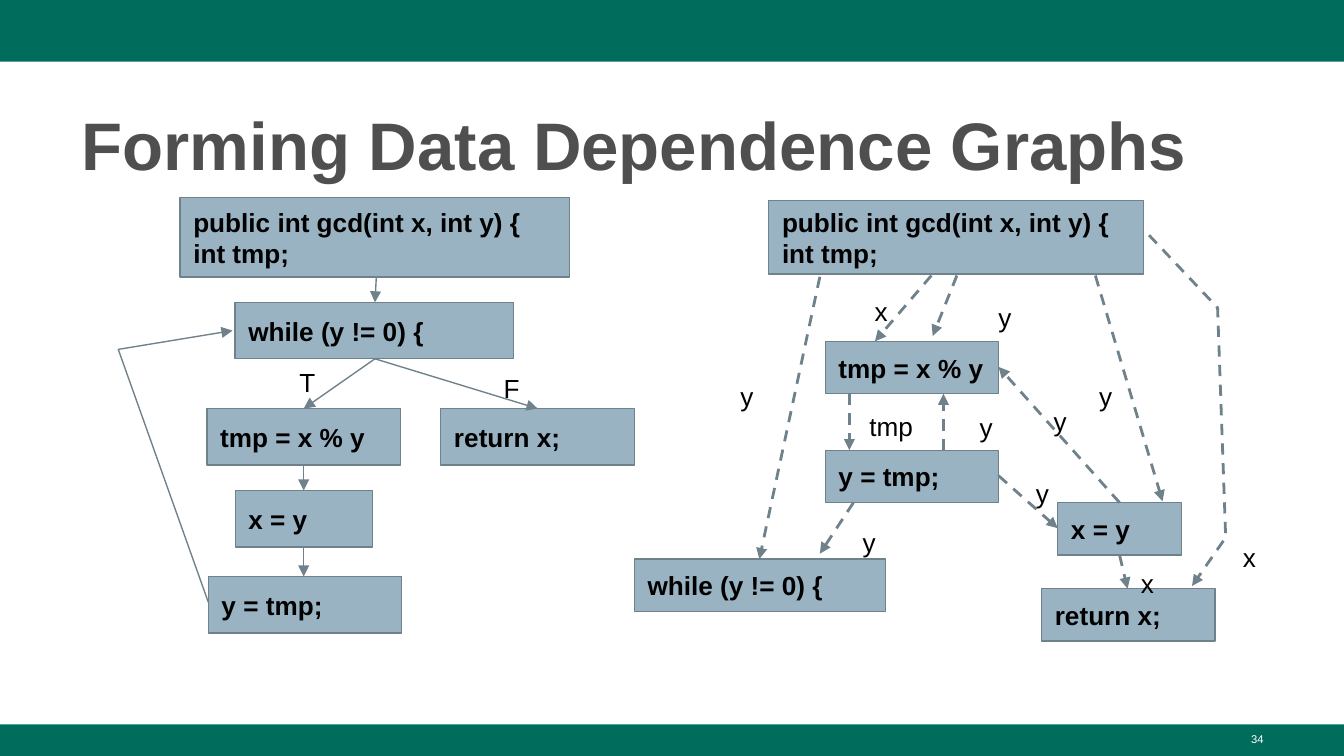
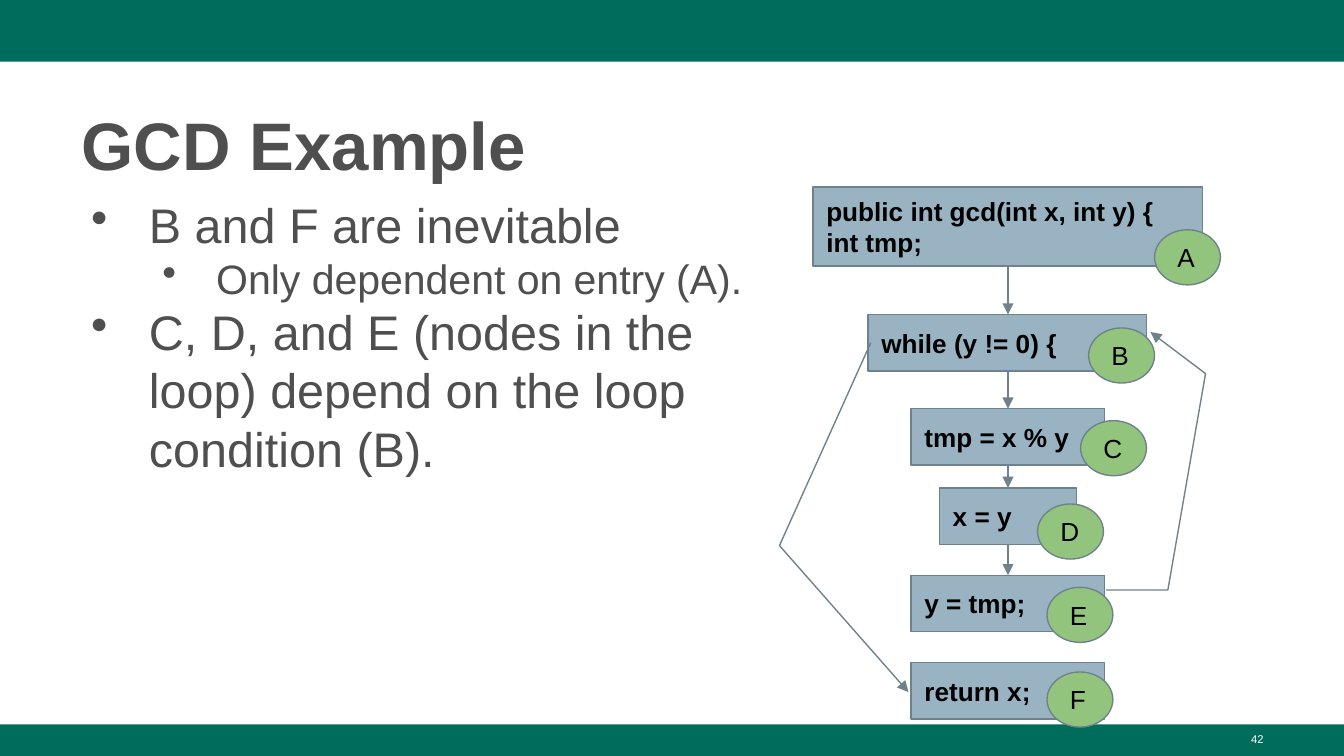
import dataclasses

import lxml.etree
import pptx
import pptx.dml.color
import pptx.enum.dml
import pptx.enum.shapes
import pptx.enum.text
import pptx.oxml.ns
import pptx.util

PX = 9144  # 100 px to the inch
RECT = pptx.enum.shapes.MSO_SHAPE.RECTANGLE
OVAL = pptx.enum.shapes.MSO_SHAPE.OVAL
RIGHT = pptx.enum.text.PP_ALIGN.RIGHT
qn = pptx.oxml.ns.qn
rgb = pptx.dml.color.RGBColor.from_string


@dataclasses.dataclass(frozen=True)
class Theme:
    font: str = "Arial"
    band: str = "006C5C"
    ink: str = "4F4F4F"
    black: str = "000000"
    white: str = "FFFFFF"
    node: str = "99B3C2"
    chip: str = "93C47D"
    edge: str = "6F828C"
    head: int = 36
    label: int = 14
    tiny: int = 6
    # per level: type size, left indent and hang in px
    levels: tuple = ((26, 50, 43), (22, 100, 40))


theme = Theme()


def write(slide, box, text, size=theme.label, color=theme.black, bold=False,
          fill=None, form=RECT, pad=10, align=None, space=None, levels=None):
    """Add text in a plain box, or in a filled and outlined shape."""
    place = [n * PX for n in box]
    if fill:
        shape = slide.shapes.add_shape(form, *place)
        shape.shadow.inherit = False
        shape.fill.solid()
        shape.fill.fore_color.rgb = rgb(fill)
        shape.line.color.rgb = rgb(theme.edge)
        shape.line.width = pptx.util.Pt(0.75)
    else:
        shape = slide.shapes.add_textbox(*place)
    frame = shape.text_frame
    frame.word_wrap = True
    anchor = pptx.enum.text.MSO_ANCHOR
    frame.vertical_anchor = anchor.MIDDLE if fill else anchor.TOP
    frame.margin_left = frame.margin_right = 10 * PX
    frame.margin_top = frame.margin_bottom = pad * PX
    for i, line in enumerate(text.split("\n")):
        para = frame.paragraphs[0] if i == 0 else frame.add_paragraph()
        para.alignment = align or pptx.enum.text.PP_ALIGN.LEFT
        if space:
            para.line_spacing = space
        if levels:
            para.level = levels[i]
            size, left, hang = theme.levels[levels[i]]
            props = para._p.get_or_add_pPr()
            props.set("marL", str(left * PX))
            props.set("indent", str(-hang * PX))
            lxml.etree.SubElement(props, qn("a:buChar"), char="•")
        run = para.add_run()
        run.text = line
        run.font.name = theme.font
        run.font.size = pptx.util.Pt(size)
        run.font.bold = bold
        run.font.color.rgb = rgb(color)


def arrow(slide, *points, dash=False):
    """Draw an arrow: a connector for two points, an open outline for more."""
    if len(points) == 2:
        ends = [n * PX for point in points for n in point]
        kind = pptx.enum.shapes.MSO_CONNECTOR.STRAIGHT
        shape = slide.shapes.add_connector(kind, *ends)
    else:
        pen = slide.shapes.build_freeform(*points[0], scale=PX)
        pen.add_line_segments(points[1:], close=False)
        shape = pen.convert_to_shape()
        shape.fill.background()
    shape.line.color.rgb = rgb(theme.edge)
    shape.line.width = pptx.util.Pt(1.5 if dash else 0.75)
    if dash:
        shape.line.dash_style = pptx.enum.dml.MSO_LINE.DASH
    props = shape.element.spPr
    lxml.etree.SubElement(props.find(qn("a:ln")), qn("a:tailEnd"), type="triangle")
    lxml.etree.SubElement(props, qn("a:effectLst"))


# Wide format, 16 to 9
deck = pptx.Presentation()
deck.slide_width = 1000 * PX
deck.slide_height = deck.slide_width * 9 // 16

# Shared bands, title and page number
pages = []
for title, number in (("Forming Data Dependence Graphs", "34"), ("GCD Example", "42")):
    page = deck.slides.add_slide(deck.slide_layouts[6])
    for top, high in ((0, 46), (539, 24)):
        band = page.shapes.add_shape(RECT, 0, top * PX, deck.slide_width, high * PX)
        band.shadow.inherit = False
        band.fill.solid()
        band.fill.fore_color.rgb = rgb(theme.band)
        band.line.fill.background()
    write(page, (51, 67, 899, 73), title, size=theme.head, color=theme.ink,
          bold=True, pad=5, space=1.08)
    write(page, (717, 540, 233, 23), number, size=theme.tiny, color=theme.white,
          pad=5, align=RIGHT)
    pages.append(page)
graphs, sample = pages

# Program statements, with their size in a control flow graph
code = {
    "entry": ("public int gcd(int x, int y) {\nint tmp;", 290, 59),
    "loop": ("while (y != 0) {", 207, 42),
    "mod": ("tmp = x % y", 144, 42),
    "move": ("x = y", 102, 42),
    "swap": ("y = tmp;", 144, 42),
    "done": ("return x;", 144, 42),
}

# Data dependence graph
for key, left, top, wide, high in (
    ("entry", 572, 149, 279, 55),
    ("mod", 614, 254, 129, 39),
    ("swap", 614, 335, 129, 39),
    ("loop", 472, 416, 187, 39),
    ("move", 787, 374, 92, 39),
    ("done", 775, 438, 129, 39),
):
    write(graphs, (left, top, wide, high), code[key][0], bold=True, fill=theme.node)

for points in (
    ((693, 205), (651, 254)),
    ((712, 205), (694, 250)),
    ((702, 335), (702, 293)),
    ((632, 293), (632, 335)),
    ((610, 206), (565, 416)),
    ((635, 374), (610, 412)),
    ((743, 354), (787, 393)),
    ((833, 374), (743, 273)),
    ((815, 205), (865, 373)),
    ((833, 413), (839, 438)),
    ((855, 175), (906, 229), (912, 400), (887, 436)),
):
    arrow(graphs, *points, dash=True)

# Control flow graphs on both slides
for page, nodes in (
    (graphs, (("entry", 134, 147), ("mod", 154, 304), ("swap", 155, 429),
              ("loop", 175, 225), ("move", 175, 365), ("done", 328, 304))),
    (sample, (("entry", 605, 139), ("mod", 678, 304), ("swap", 678, 428),
              ("loop", 646, 234), ("move", 699, 363), ("done", 678, 493))),
):
    for key, left, top in nodes:
        text, wide, high = code[key]
        write(page, (left, top, wide, high), text, bold=True, fill=theme.node)

for points in (
    ((280, 206), (279, 225)),
    ((279, 267), (400, 304)),
    ((279, 267), (226, 304)),
    ((226, 346), (226, 365)),
    ((226, 407), (226, 429)),
    ((155, 448), (88, 260), (173, 246)),
):
    arrow(graphs, *points)

# Edge labels
for text, left, top, wide, high in (
    ("x", 641, 210, 45, 39),
    ("y", 733, 214, 35, 26),
    ("y", 719, 296, 35, 26),
    ("tmp", 637, 300, 61, 15),
    ("y", 541, 273, 42, 26),
    ("y", 632, 382, 35, 26),
    ("y", 761, 345, 35, 26),
    ("y", 774, 292, 35, 26),
    ("y", 808, 273, 35, 26),
    ("x", 839, 412, 35, 26),
    ("x", 915, 393, 35, 26),
    ("T", 213, 270, 26, 13),
    ("F", 365, 274, 50, 13),
):
    write(graphs, (left, top, wide, high), text)

# Bullets of the example
write(sample, (51, 140, 538, 381),
      "B and F are inevitable\n"
      "Only dependent on entry (A).\n"
      "C, D, and E (nodes in the loop) depend on the loop condition (B).",
      color=theme.ink, pad=5, levels=(0, 1, 0))

# Flow of the example: straight steps, then the exit and the way back
for start, end in ((198, 234), (276, 304), (346, 363), (405, 428)):
    arrow(sample, (750, start), (750, end))
arrow(sample, (648, 255), (580, 406), (676, 515))
arrow(sample, (823, 439), (869, 439), (897, 278), (856, 247))

# Letter chips
for text, left, top in (("A", 859, 171), ("B", 810, 244), ("C", 804, 313),
                        ("D", 772, 375), ("E", 779, 437), ("F", 779, 500)):
    write(sample, (left, top, 49, 41), text, fill=theme.chip, form=OVAL)

deck.save("out.pptx")
